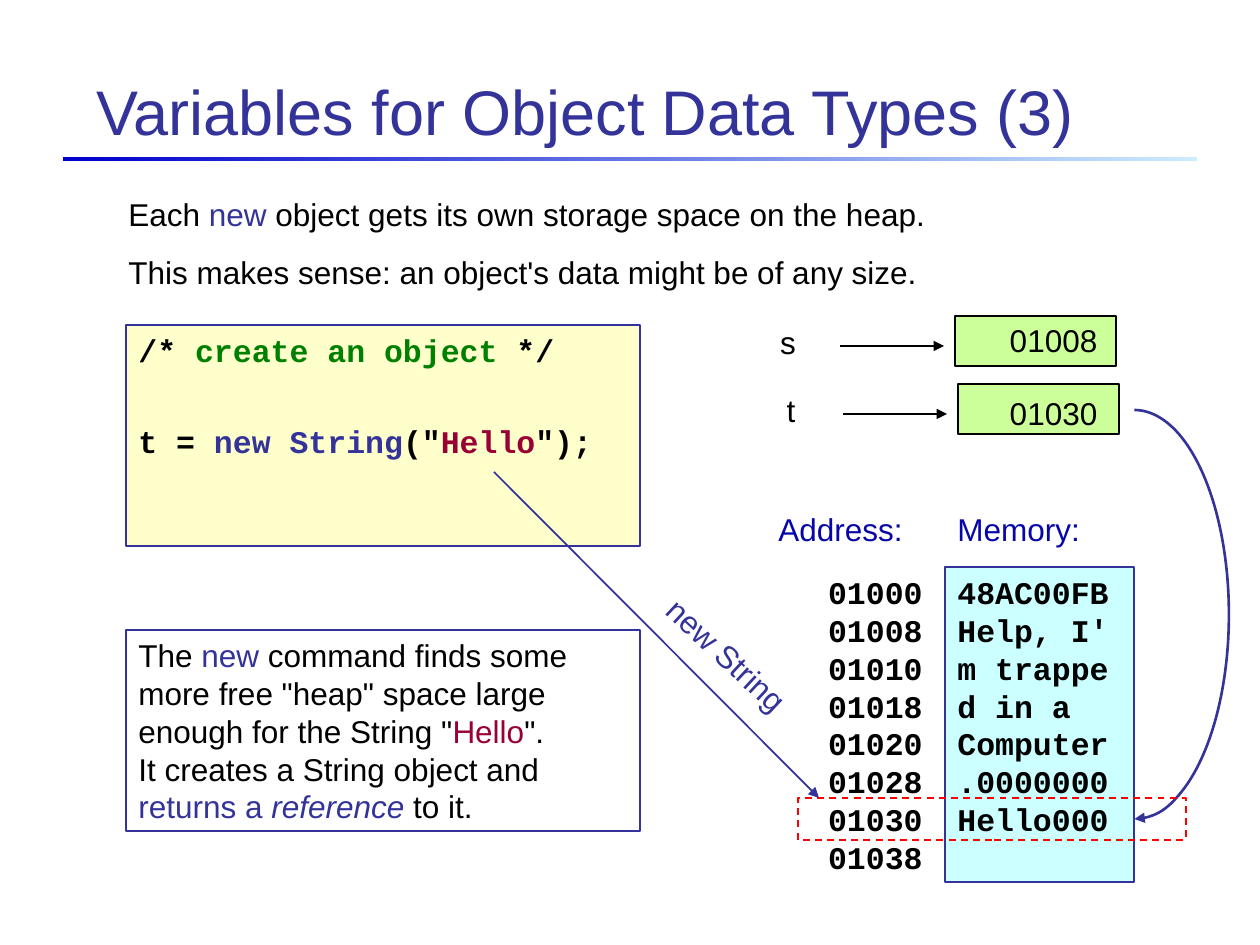
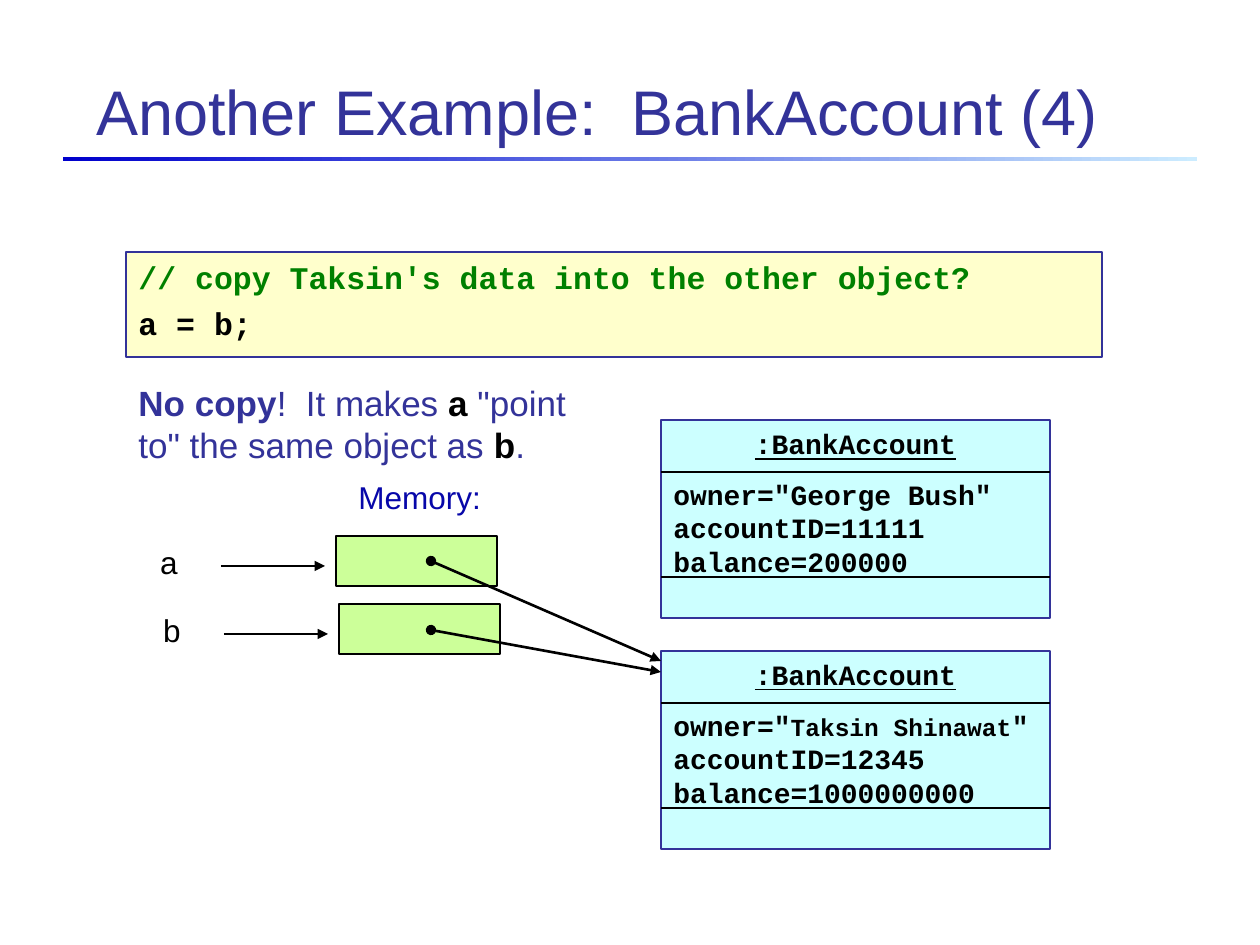
"""Builds two slides on how object variables refer to memory."""
from dataclasses import dataclass

from lxml.etree import SubElement
from pptx import Presentation
from pptx.dml.color import RGBColor
from pptx.enum.dml import MSO_LINE
from pptx.enum.shapes import MSO_CONNECTOR, MSO_SHAPE
from pptx.enum.text import MSO_ANCHOR as Anchor, PP_ALIGN as Align
from pptx.oxml.ns import qn
from pptx.util import Pt

PX_PER_INCH = 126
EMU_PER_PX = 914400 / PX_PER_INCH

BLUE, NAVY, BLACK, WHITE = "333399", "0707A9", "000000", "FFFFFF"
GREEN, MAROON, RED = "008000", "990033", "FF0000"
CREAM, LIME, AQUA = "FFFFCC", "CCFF99", "CCFFFF"
BAR_START, BAR_END = "0000CC", "CCECFF"


@dataclass(frozen=True)
class Style:
    font: str = "Arial"
    size: int = 18
    color: str = BLACK
    bold: bool = False


@dataclass(frozen=True)
class Run:
    text: str
    color: str | None = None
    bold: bool | None = None
    italic: bool | None = None
    underline: bool | None = None
    size: int | None = None


@dataclass(frozen=True)
class Para:
    runs: tuple
    before: float = 0
    align: Align = Align.LEFT


@dataclass(frozen=True)
class Box:
    left: int
    top: int
    width: int
    height: int


@dataclass(frozen=True)
class Variable:
    name: str
    left: int
    top: int


@dataclass(frozen=True)
class Account:
    top: int
    owner: Run
    number: str
    balance: str


BODY = Style()
CODE = Style("Courier New", bold=True)
FIELD = Style("Courier New", 16, bold=True)
HEADING = Style(color=NAVY)
TITLE = Style(size=36, color=BLUE)
NOTE = Style(size=20, color=BLUE)


def px(length: int) -> int:
    """Turn px into EMU."""
    return round(length * EMU_PER_PX)


def rgb(color: str) -> RGBColor:
    """Turn a hex string into a colour."""
    return RGBColor.from_string(color)


def para(*parts: str | Run, before: float = 0, align: Align = Align.LEFT) -> Para:
    """Make a paragraph from plain strings and runs."""
    runs = tuple(Run(part) if isinstance(part, str) else part for part in parts)
    return Para(runs, before, align)


def write(shape, paras: list[Para], style: Style, wrap: bool = True,
          anchor: Anchor = Anchor.TOP) -> None:
    """Fill a shape with paragraphs in one style."""
    frame = shape.text_frame
    frame.word_wrap = wrap
    frame.vertical_anchor = anchor
    for index, item in enumerate(paras):
        paragraph = frame.add_paragraph() if index else frame.paragraphs[0]
        paragraph.alignment = item.align
        paragraph.space_before = Pt(item.before)
        font = paragraph.font
        font.name, font.size, font.bold = style.font, Pt(style.size), style.bold
        font.color.rgb = rgb(style.color)
        for part in item.runs:
            run = paragraph.add_run()
            run.text = part.text
            run.font.bold, run.font.italic = part.bold, part.italic
            run.font.underline = part.underline
            if part.color:
                run.font.color.rgb = rgb(part.color)
            if part.size:
                run.font.size = Pt(part.size)


def add_text(slide, box: Box, paras: list[Para], style: Style = BODY, **options):
    """Add a text box."""
    area = slide.shapes.add_textbox(px(box.left), px(box.top), px(box.width), px(box.height))
    write(area, paras, style, **options)
    return area


def add_panel(slide, box: Box, fill: str | None, line: str | None = BLUE,
              weight: float = 0.75, kind: MSO_SHAPE = MSO_SHAPE.RECTANGLE):
    """Add a preset shape with flat fill and line."""
    panel = slide.shapes.add_shape(kind, px(box.left), px(box.top), px(box.width), px(box.height))
    panel.shadow.inherit = False
    if fill:
        panel.fill.solid()
        panel.fill.fore_color.rgb = rgb(fill)
    else:
        panel.fill.background()
    if line:
        panel.line.color.rgb = rgb(line)
        panel.line.width = Pt(weight)
    else:
        panel.line.fill.background()
    return panel


def set_ends(shape, head: str | None = None, tail: str | None = None) -> None:
    """Put ends on a line."""
    outline = shape.line._get_or_add_ln()
    for tag, end in (("a:headEnd", head), ("a:tailEnd", tail)):
        if end:
            SubElement(outline, qn(tag), type=end)


def add_line(slide, start: tuple[int, int], end: tuple[int, int], color: str = BLACK,
             weight: float = 0.75, head: str | None = None, tail: str | None = None) -> None:
    """Add a straight line, with optional ends."""
    line = slide.shapes.add_connector(MSO_CONNECTOR.STRAIGHT, *map(px, start + end))
    line.line.color.rgb = rgb(color)
    line.line.width = Pt(weight)
    set_ends(line, head, tail)
    SubElement(line._element.spPr, qn("a:effectLst"))


def add_slide(deck, title: str):
    """Add a slide with title and gradient bar."""
    slide = deck.slides.add_slide(deck.slide_layouts[6])
    slide.background.fill.solid()
    slide.background.fill.fore_color.rgb = rgb(WHITE)
    bar = add_panel(slide, Box(63, 157, 1134, 4), None, None)
    bar.fill.gradient()
    bar.fill.gradient_angle = 0
    for stop, color in zip(bar.fill.gradient_stops, (BAR_START, BAR_END)):
        stop.color.rgb = rgb(color)
    add_text(slide, Box(84, 35, 1091, 119), [para(title)], TITLE, anchor=Anchor.BOTTOM)
    return slide


def add_variable(slide, variable: Variable) -> None:
    """Draw a variable name pointing at its storage cell."""
    left, top = variable.left, variable.top
    add_panel(slide, Box(left, top, 161, 50), LIME, BLACK)
    add_text(slide, Box(left - 192, top + 1, 50, 50),
             [para(variable.name, align=Align.CENTER)], wrap=False)
    add_line(slide, (left - 115, top + 30), (left - 11, top + 30), tail="triangle")


def add_account(slide, account: Account) -> None:
    """Draw an account object with its compartments."""
    left, width = 661, 389
    panel = add_panel(slide, Box(left, account.top, width, 198), AQUA)
    write(panel, [
        para(Run(":BankAccount", underline=True), align=Align.CENTER),
        para('owner="', account.owner, '"', before=10),
        para("accountID=" + account.number),
        para("balance=" + account.balance),
    ], FIELD)
    for offset in (52, 157):
        y = account.top + offset
        add_line(slide, (left, y), (left + width, y))


def build_new_object(deck) -> None:
    """Show how new reserves space on the heap."""
    slide = add_slide(deck, "Variables for Object Data Types (3)")
    new = Run("new", BLUE)
    hello = Run("Hello", MAROON)
    code = add_panel(slide, Box(126, 325, 514, 221), CREAM)
    write(code, [
        para("/* ", Run("create an object", GREEN), " */"),
        para("t = ", Run("new String", BLUE), '("', hello, '");', before=30),
    ], CODE)
    for variable in (Variable("s", 955, 316), Variable("t", 958, 384)):
        add_variable(slide, variable)
    for address, top in (("01008", 315), ("01030", 388)):
        add_text(slide, Box(993, top, 121, 50), [para(address, align=Align.CENTER)], wrap=False)
    add_text(slide, Box(116, 189, 1028, 108), [
        para("Each ", new, " object gets its own storage space on the heap."),
        para("This makes sense: an object's data might be of any size.", before=11.2),
    ])

    words = ("48AC00FB", "Help, I'", "m trappe", "d in a", "Computer", ".0000000", "Hello000")
    memory = add_panel(slide, Box(945, 567, 189, 315), AQUA)
    write(memory, [para(word) for word in words], CODE)
    addresses = [para(f"01{8 * row:03x}", align=Align.RIGHT) for row in range(8)]
    add_text(slide, Box(746, 567, 189, 315), addresses, CODE)
    for heading, left in (("Address:", 766), ("Memory:", 945)):
        add_text(slide, Box(left, 504, 160, 50), [para(heading)], HEADING)

    explanation = add_panel(slide, Box(126, 630, 514, 201), None)
    write(explanation, [
        para("The ", new, ' command finds some more free "heap" space large enough '
             'for the String "', hello, '".'),
        para("It creates a String object and ", Run("returns a ", BLUE),
             Run("reference ", BLUE, italic=True), "to it."),
    ], BODY)
    reference = add_panel(slide, Box(1040, 410, 189, 409), None, BLUE, 1.5, MSO_SHAPE.ARC)
    reference.adjustments[0], reference.adjustments[1] = 162, 54
    set_ends(reference, tail="triangle")
    add_line(slide, (494, 472), (819, 798), BLUE, 1, tail="triangle")
    highlight = add_panel(slide, Box(798, 798, 388, 42), None, RED, 1)
    highlight.line.dash_style = MSO_LINE.DASH
    label = add_text(slide, Box(640, 630, 174, 50), [para("new String")],
                     Style(color=BLUE), wrap=False)
    label.rotation = 43


def build_shared_account(deck) -> None:
    """Show two variables that refer to one account."""
    slide = add_slide(deck, "Another Example:  BankAccount (4)")
    code = add_panel(slide, Box(126, 252, 976, 105), CREAM)
    write(code, [
        para(Run("// copy Taksin's data into the other object?", GREEN)),
        para("a = b;", before=4.5),
    ], CODE)
    for variable in (Variable("a", 336, 536), Variable("b", 339, 604)):
        add_variable(slide, variable)
    add_text(slide, Box(346, 472, 160, 50), [para("Memory:")], HEADING)
    for account in (
        Account(420, Run("George Bush"), "11111", "200000"),
        Account(651, Run("Taksin Shinawat", size=14), "12345", "1000000000"),
    ):
        add_account(slide, account)
    for start, end in (((431, 561), (661, 661)), ((431, 630), (661, 672))):
        add_line(slide, start, end, weight=1.5, head="oval", tail="triangle")
    add_text(slide, Box(126, 375, 472, 97), [
        para(Run("No copy", bold=True), "!  It makes ", Run("a", BLACK, True),
             ' "point to" the same object as ', Run("b", BLACK, True), "."),
    ], NOTE)


def main() -> None:
    """Build and save the deck."""
    deck = Presentation()
    deck.slide_width, deck.slide_height = px(1260), px(945)
    build_new_object(deck)
    build_shared_account(deck)
    deck.save("out.pptx")


if __name__ == "__main__":
    main()
